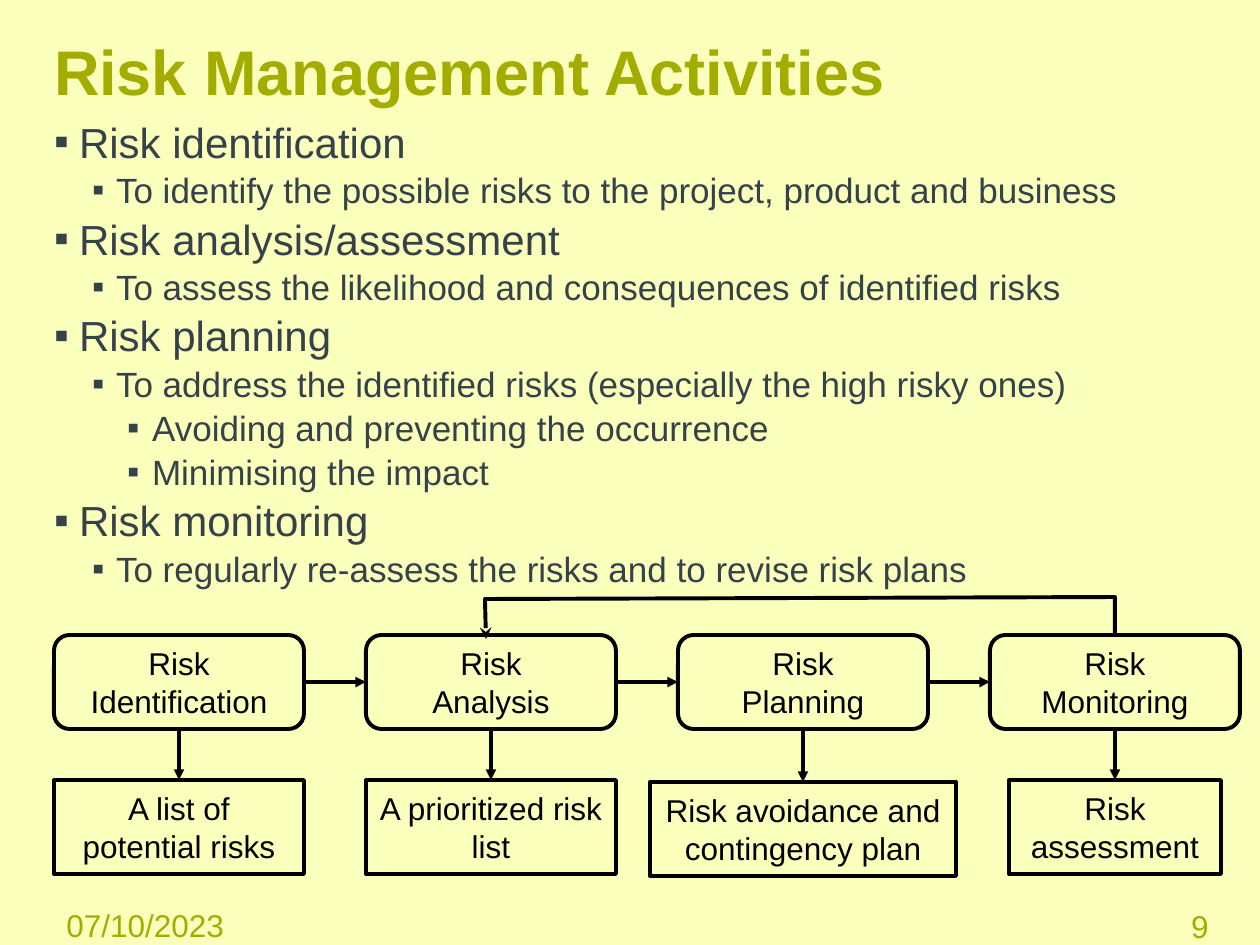
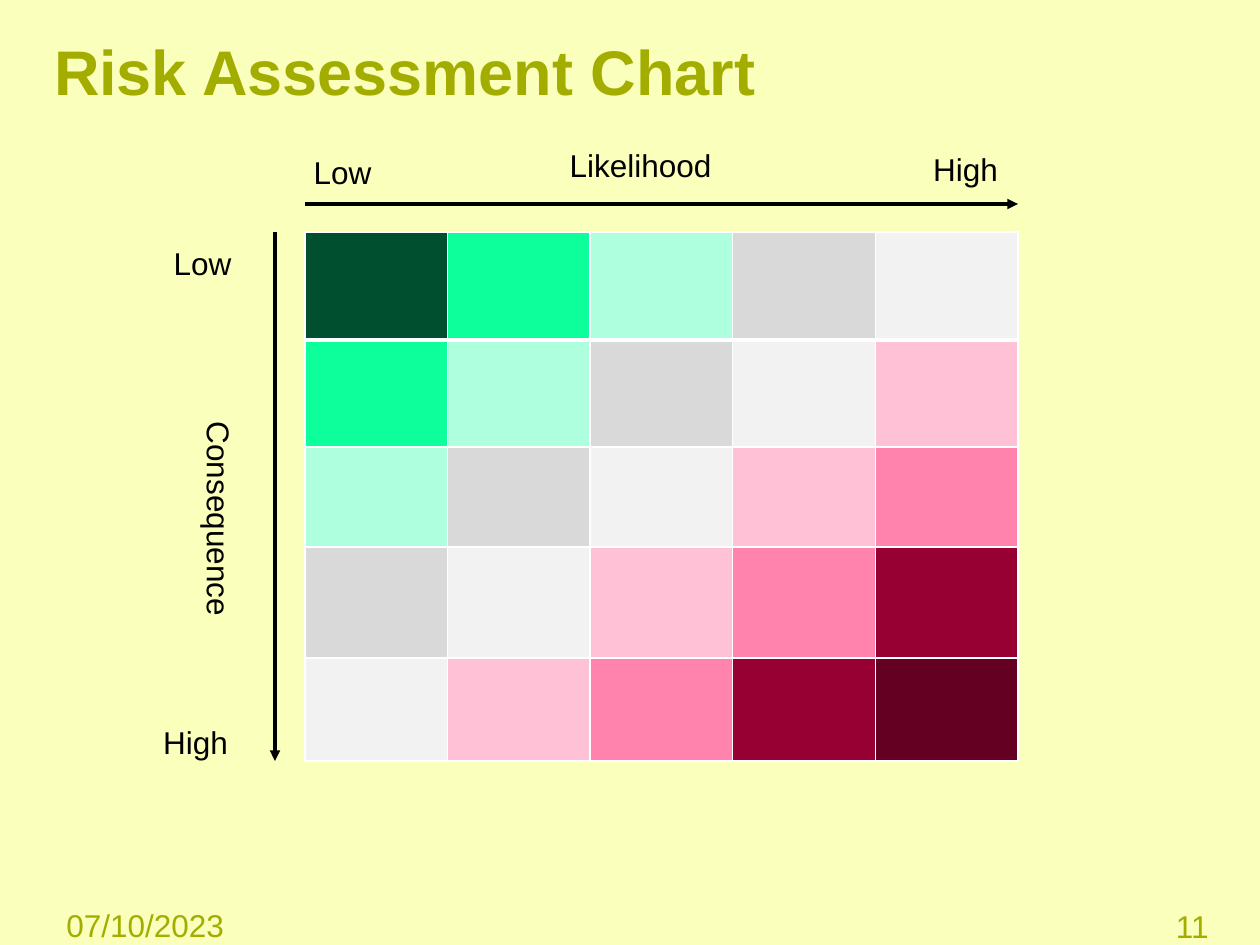
from pptx import Presentation
from pptx import util as u
from pptx.dml.color import RGBColor
from pptx.enum import shapes, text
from pptx.oxml import ns, xmlchemy

SCALE = 914400 / 126
FONT = "Arial"
COLOURS = {
    "page": "FBFFBC",
    "accent": "A2AD00",
    "body": "36424A",
    "ink": "000000",
    "grid": "FFFFFF",
}
RISK_SCALE = ["004F2F", "0CFF9B", "AEFFDE", "D9D9D9", "F2F2F2",
              "FFC1D6", "FF83AD", "970033", "640022"]
LEVELS = [
    {"size": 24, "left": 25, "hang": 25, "before": 1.4},
    {"size": 20, "left": 62, "hang": 24, "before": 1.15},
    {"size": 20, "left": 98, "hang": 25, "before": 1.15},
]
ACTIVITIES = [
    (0, "Risk identification"),
    (1, "To identify the possible risks to the project, product and business"),
    (0, "Risk analysis/assessment"),
    (1, "To assess the likelihood and consequences of identified risks"),
    (0, "Risk planning"),
    (1, "To address the identified risks (especially the high risky ones)"),
    (2, "Avoiding and preventing the occurrence"),
    (2, "Minimising the impact"),
    (0, "Risk monitoring"),
    (1, "To regularly re-assess the risks and to revise risk plans"),
]
STAGES = [
    ("Risk\vIdentification", "A list of potential risks", 250, 145),
    ("Risk\vAnalysis", "A prioritized risk list", 250, 145),
    ("Risk\vPlanning", "Risk avoidance and contingency plan", 306, 147),
    ("Risk\vMonitoring", "Risk assessment", 212, 145),
]


def px(length):
    return u.Emu(round(length * SCALE))


def rgb(name):
    return RGBColor.from_string(COLOURS[name])


def add_child(parent, tag, **attributes):
    child = xmlchemy.OxmlElement(tag)
    for name, value in attributes.items():
        child.set(name, value)
    parent.append(child)
    return child


def style_font(para, size, colour, bold=False):
    for span in para.runs:
        span.font.name = FONT
        span.font.size = u.Pt(size)
        span.font.bold = bold
        span.font.color.rgb = rgb(colour)


def write(frame, words, size=18, colour="ink", align=text.PP_ALIGN.CENTER,
          bold=False):
    frame.word_wrap = True
    frame.text = words
    para = frame.paragraphs[0]
    para.alignment = align
    style_font(para, size, colour, bold)


def add_label(page, box, words, **style):
    label = page.shapes.add_textbox(*map(px, box))
    write(label.text_frame, words, **style)
    return label


def set_line(shape, width):
    shape.line.color.rgb = rgb("ink")
    shape.line.width = u.Pt(width)


def add_arrowhead(shape, kind):
    line = shape.element.spPr.find(ns.qn("a:ln"))
    add_child(line, "a:tailEnd", type=kind)


def add_arrow(page, start, end):
    arrow = page.shapes.add_connector(
        shapes.MSO_CONNECTOR.STRAIGHT, *map(px, start + end))
    set_line(arrow, 2)
    add_arrowhead(arrow, "triangle")
    add_child(arrow.element.spPr, "a:effectLst")


def add_flow_box(page, kind, box, words):
    shape = page.shapes.add_shape(kind, *map(px, box))
    shape.shadow.inherit = False
    shape.fill.background()
    set_line(shape, 2.25)
    shape.text_frame.vertical_anchor = text.MSO_ANCHOR.MIDDLE
    write(shape.text_frame, words)


def add_page(deck, title, number):
    page = deck.slides.add_slide(deck.slide_layouts[6])
    page.background.fill.solid()
    page.background.fill.fore_color.rgb = rgb("page")
    heading = add_label(page, (54, 26, 1166, 89), title, size=36,
                        colour="accent", align=text.PP_ALIGN.LEFT, bold=True)
    heading.text_frame.margin_left = 0
    heading.text_frame.vertical_anchor = text.MSO_ANCHOR.MIDDLE
    add_label(page, (54, 900, 236, 45), "07/10/2023", colour="accent",
              align=text.PP_ALIGN.LEFT)
    add_label(page, (1115, 901, 106, 45), number, colour="accent",
              align=text.PP_ALIGN.RIGHT)
    return page


def add_activity_list(page, box):
    frame = page.shapes.add_textbox(*map(px, box)).text_frame
    frame.word_wrap = True
    frame.margin_left = 0
    frame.text = "\n".join(words for _, words in ACTIVITIES)
    for index, (para, (depth, _)) in enumerate(zip(frame.paragraphs, ACTIVITIES)):
        level = LEVELS[depth]
        para.level = depth
        if index:
            para.space_before = u.Pt(level["before"])
        properties = para._p.get_or_add_pPr()
        properties.set("marL", str(px(level["left"])))
        properties.set("indent", str(-px(level["hang"])))
        add_child(properties, "a:buFont", typeface=FONT)
        add_child(properties, "a:buChar", char="▪")
        style_font(para, level["size"], "body")


def add_feedback_line(page, points):
    builder = page.shapes.build_freeform(*points[0], scale=SCALE)
    builder.add_line_segments(points[1:], close=False)
    loop = builder.convert_to_shape()
    loop.shadow.inherit = False
    loop.fill.background()
    set_line(loop, 2.25)
    add_arrowhead(loop, "stealth")


def add_process_flow(page, box):
    left, top, width, height = box
    stage_width = 250
    step = (width - stage_width) // (len(STAGES) - 1)
    middle = top + height // 2
    for index, (stage, result, result_width, drop) in enumerate(STAGES):
        x = left + index * step
        centre = x + stage_width // 2
        add_flow_box(page, shapes.MSO_SHAPE.ROUNDED_RECTANGLE,
                     (x, top, stage_width, height), stage)
        add_flow_box(page, shapes.MSO_SHAPE.RECTANGLE,
                     (centre - result_width // 2, top + drop, result_width, height),
                     result)
        add_arrow(page, (centre, top + height), (centre, top + drop))
        if index:
            add_arrow(page, (x - step + stage_width, middle), (x, middle))
    monitoring = left + 3 * step + stage_width // 2
    analysis = left + step + stage_width // 2
    add_feedback_line(page, [
        (monitoring, top - 2), (monitoring, top - 38),
        (analysis - 6, top - 36), (analysis - 5, top + 4)])


def set_borders(cell, widths):
    properties = cell._tc.get_or_add_tcPr()
    for side, width in zip("LRTB", widths):
        line = add_child(properties, f"a:ln{side}", w=str(u.Pt(width)))
        fill = add_child(line, "a:solidFill")
        add_child(fill, "a:srgbClr", val=COLOURS["grid"])


def add_risk_grid(page, box):
    row_heights = [108, 107, 100, 111, 103]
    count = len(row_heights)
    grid = page.shapes.add_table(count, count, *map(px, box)).table
    grid.first_row = False
    grid.horz_banding = False
    for column in grid.columns:
        column.width = px(box[2] / count)
    for row, height in enumerate(row_heights):
        grid.rows[row].height = px(height)
        for column in range(count):
            cell = grid.cell(row, column)
            set_borders(cell, (1, 1, 3 if row == 1 else 1, 3 if row == 0 else 1))
            cell.fill.solid()
            cell.fill.fore_color.rgb = RGBColor.from_string(RISK_SCALE[row + column])


def add_risk_axes(page, box):
    left, top, width, height = box
    add_arrow(page, (left, top - 28), (left + width, top - 28))
    add_arrow(page, (left - 30, top), (left - 30, top + height))
    consequence = add_label(page, (left - 275, top + 262, 379, 50), "Consequence")
    consequence.rotation = 90
    add_label(page, (left + 146, top - 92, 379, 50), "Likelihood")
    ends = [(-43, -85, "Low"), (580, -88, "High"),
            (-183, 6, "Low"), (-190, 485, "High")]
    for x, y, words in ends:
        add_label(page, (left + x, top + y, 161, 50), words)


def build_activities(deck):
    page = add_page(deck, "Risk Management Activities", "9")
    add_activity_list(page, (54, 110, 1166, 472))
    add_process_flow(page, (54, 635, 1186, 94))


def build_assessment(deck):
    page = add_page(deck, "Risk Assessment Chart", "11")
    box = (305, 232, 713, 529)
    add_risk_grid(page, box)
    add_risk_axes(page, box)


def main():
    deck = Presentation()
    deck.slide_width = px(1260)
    deck.slide_height = px(945)
    build_activities(deck)
    build_assessment(deck)
    deck.save("out.pptx")


if __name__ == "__main__":
    main()
